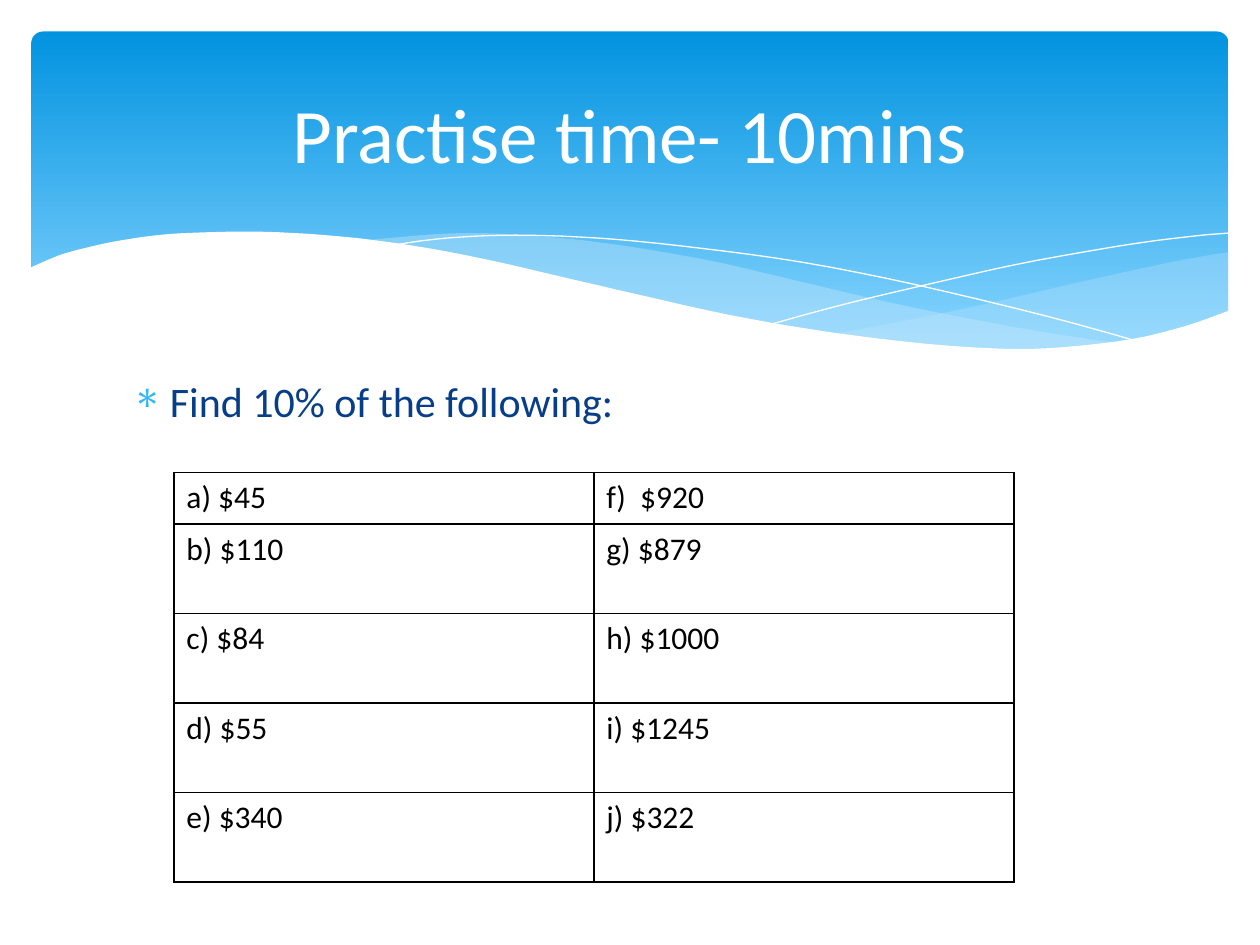
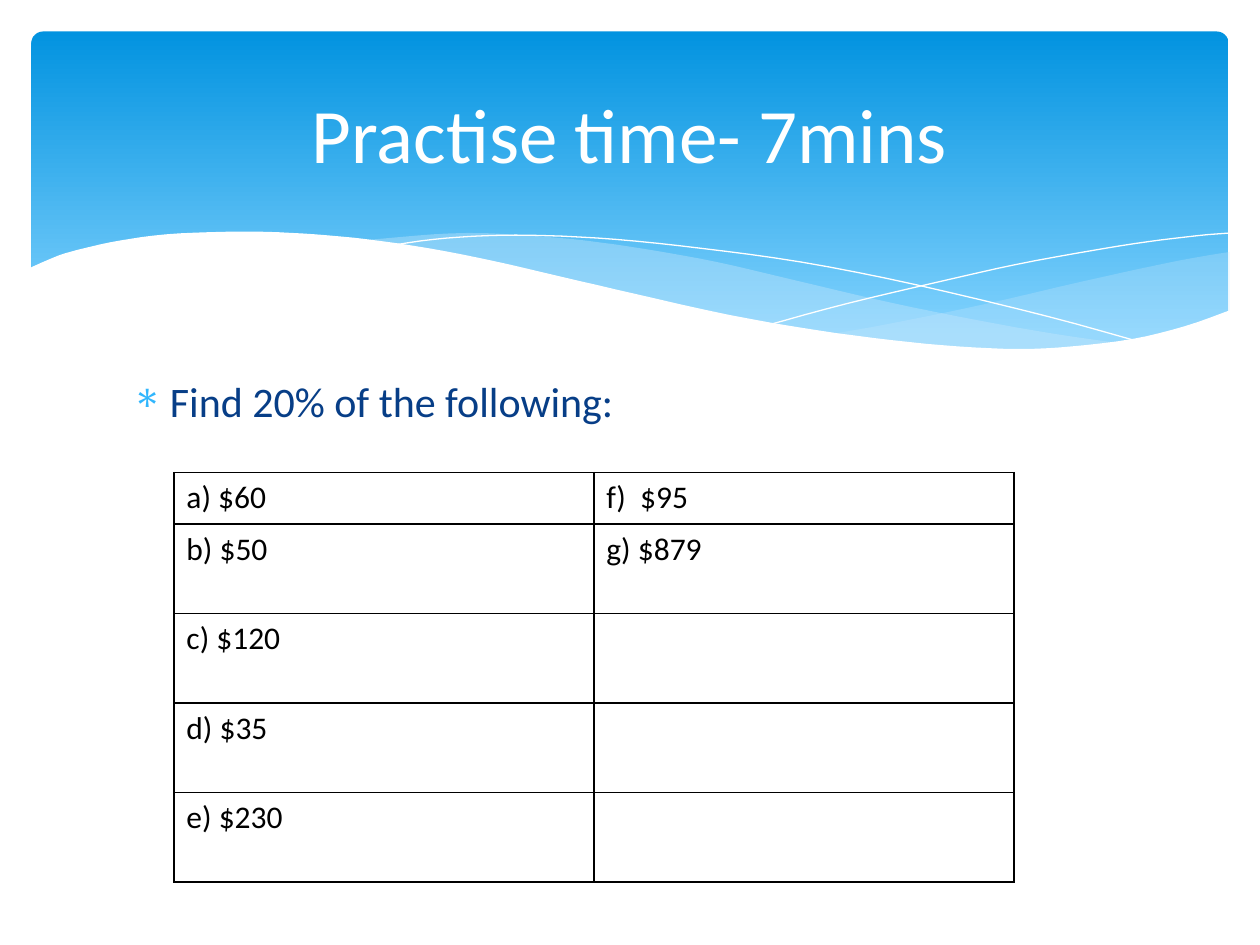
from lxml.etree import SubElement
from pptx import Presentation
from pptx.dml.color import RGBColor
from pptx.enum.shapes import MSO_SHAPE
from pptx.enum.text import MSO_ANCHOR, PP_ALIGN
from pptx.oxml.ns import qn
from pptx.util import Inches, Pt

SLIDES = [
    {"title": "Practise time- 10mins",
     "task": "Find 10% of the following:",
     "columns": [["a) $45", "b) $110", "c) $84", "d) $55", "e) $340"],
                 ["f)  $920", "g) $879", "h) $1000", "i) $1245", "j) $322"]]},
    {"title": "Practise time- 7mins",
     "task": "Find 20% of the following:",
     "columns": [["a) $60", "b) $50", "c) $120", "d) $35", "e) $230"],
                 ["f)  $95", "g) $879", "", "", ""]]},
]

FONT = "Calibri"
WHITE = RGBColor(0xFF, 0xFF, 0xFF)
BLACK = RGBColor(0x00, 0x00, 0x00)
NAVY = RGBColor(0x07, 0x3E, 0x87)
SKY = RGBColor(0x31, 0xB6, 0xFD)
BAND_TOP = RGBColor(0x02, 0x93, 0xE0)
BAND_END = RGBColor(0x83, 0xD3, 0xFE)
PALE = RGBColor(0xC6, 0xE7, 0xFC)

SLIDE_W, SLIDE_H = 10, 7.5
MARGIN = SLIDE_W / 40
TABLE_X, TABLE_Y = 1.38, 3.75
COLUMN_W = SLIDE_W / 3
FIRST_ROW_H, ROW_H = 0.41, 0.71

# Each outline is a chain of smooth curves, in inches; corners fall between curves.
RIGHT_WAVE = [
    [(9.76, 2), (9.35, 2.07), (8.61, 2.23), (7.79, 2.42), (7.06, 2.57), (6.61, 2.65)],
    [(6.61, 2.65), (7.19, 2.72), (7.69, 2.77), (8.14, 2.78), (8.54, 2.76),
     (8.97, 2.7), (9.35, 2.62), (9.76, 2.47)],
]
MIDDLE_WAVE = [
    [(8.93, 2.73), (8.37, 2.65), (7.75, 2.54), (7.06, 2.4), (6.29, 2.22), (5.69, 2.08),
     (5.14, 1.98), (4.65, 1.91), (4.2, 1.87), (3.8, 1.85), (3.44, 1.86), (2.86, 1.91)],
    [(2.86, 1.91), (3.42, 1.99), (4.04, 2.11), (4.49, 2.22), (5.3, 2.4), (6.01, 2.55),
     (6.65, 2.66), (7.22, 2.74), (7.73, 2.77), (8.18, 2.78), (8.57, 2.77), (8.93, 2.73)],
]
FALLING_LINE = [
    [(3.09, 1.95), (3.44, 1.9), (3.87, 1.87), (4.33, 1.87), (4.89, 1.9), (5.56, 1.97),
     (6.36, 2.08), (7.27, 2.26), (8.31, 2.51), (9.07, 2.72)],
]
RISING_LINE = [
    [(6.13, 2.57), (6.72, 2.41), (7.48, 2.23), (8.06, 2.1), (8.66, 1.99),
     (9.1, 1.92), (9.51, 1.87), (9.75, 1.85)],
]
WHITE_WAVE = [
    [(9.77, 2.46), (9.4, 2.59), (8.99, 2.69), (8.5, 2.75), (8.09, 2.77), (7.61, 2.75),
     (7.08, 2.7), (6.48, 2.62), (5.79, 2.5), (5.03, 2.33), (4.47, 2.2), (3.91, 2.07),
     (3.4, 1.97), (2.92, 1.9), (2.5, 1.86), (2.11, 1.84), (1.77, 1.84), (1.32, 1.86),
     (0.95, 1.91), (0.67, 1.97), (0.46, 2.03), (0.23, 2.13)],
    [(0.23, 3.29), (9.77, 3.29)],
]


def smooth(points, steps=4):
    """Return a Catmull-Rom curve through the points as short segments."""
    padded = [points[0], *points, points[-1]]
    curve = [points[0]]
    for a, b, c, d in zip(padded, padded[1:], padded[2:], padded[3:]):
        for t in (i / steps for i in range(1, steps + 1)):
            curve.append(tuple(
                (2 * q + (r - p) * t + (2 * p - 5 * q + 4 * r - s) * t ** 2
                 + (3 * q - p - 3 * r + s) * t ** 3) / 2
                for p, q, r, s in zip(a, b, c, d)))
    return curve


def draw_outline(slide, curves, closed):
    points = [(x * 1000, y * 1000) for c in curves for x, y in smooth(c)]
    builder = slide.shapes.build_freeform(*points[0], scale=Inches(1) / 1000)
    builder.add_line_segments(points[1:], close=closed)
    sp = builder.convert_to_shape()
    sp.shadow.inherit = False
    return sp


def add_wave(slide, curves, color, opacity=100):
    sp = draw_outline(slide, curves, closed=True)
    sp.fill.solid()
    sp.fill.fore_color.rgb = color
    sp.line.fill.background()
    if opacity < 100:
        clr = sp.fill._xPr.find(qn("a:solidFill"))[0]
        SubElement(clr, qn("a:alpha"), val=str(opacity * 1000))


def add_hairline(slide, curves):
    sp = draw_outline(slide, curves, closed=False)
    sp.fill.background()
    sp.line.color.rgb = WHITE
    sp.line.width = Pt(0)


def add_band(slide):
    sp = slide.shapes.add_shape(MSO_SHAPE.ROUNDED_RECTANGLE, Inches(MARGIN), Inches(MARGIN),
                                Inches(SLIDE_W - 2 * MARGIN), Inches(2.7))
    sp.adjustments[0] = 0.034
    sp.shadow.inherit = False
    sp.line.fill.background()
    sp.fill.gradient()
    sp.fill.gradient_angle = 270
    for stop, color, position in zip(sp.fill.gradient_stops, (BAND_TOP, BAND_END), (0, 0.9)):
        stop.color.rgb = color
        stop.position = position
    add_wave(slide, RIGHT_WAVE, PALE, 29)
    add_wave(slide, MIDDLE_WAVE, PALE, 40)
    add_hairline(slide, FALLING_LINE)
    add_hairline(slide, RISING_LINE)
    add_wave(slide, WHITE_WAVE, WHITE)


def style(p, size, color):
    for r in p.runs:
        r.font.name = FONT
        r.font.size = Pt(size)
        r.font.color.rgb = color


def add_text(slide, text, box, size, color):
    tf = slide.shapes.add_textbox(*map(Inches, box)).text_frame
    tf.word_wrap = True
    tf.text = text
    style(tf.paragraphs[0], size, color)
    return tf


def add_title(slide, text):
    tf = add_text(slide, text, (0.5, 0.37, 9, 1.37), 44, WHITE)
    tf.vertical_anchor = MSO_ANCHOR.MIDDLE
    tf.paragraphs[0].alignment = PP_ALIGN.CENTER


def add_task(slide, text):
    tf = add_text(slide, text, (0.95, 2.93, 8.1, 0.7), 24, NAVY)
    pPr = tf.paragraphs[0]._p.get_or_add_pPr()
    pPr.set("marL", str(Inches(0.3)))
    pPr.set("indent", str(-Inches(0.3)))
    SubElement(SubElement(pPr, qn("a:buClr")), qn("a:srgbClr"), val=str(SKY))
    SubElement(pPr, qn("a:buFont"), typeface="Symbol")
    SubElement(pPr, qn("a:buChar"), char="∗")


def add_borders(cell):
    tcPr = cell._tc.get_or_add_tcPr()
    for side in ("lnL", "lnR", "lnT", "lnB"):
        ln = SubElement(tcPr, qn(f"a:{side}"), w=str(Pt(1)))
        fill = SubElement(ln, qn("a:solidFill"))
        SubElement(fill, qn("a:srgbClr"), val=str(BLACK))


def add_questions(slide, columns):
    n_rows, n_cols = len(columns[0]), len(columns)
    heights = [FIRST_ROW_H] + [ROW_H] * (n_rows - 1)
    table = slide.shapes.add_table(
        n_rows, n_cols, Inches(TABLE_X), Inches(TABLE_Y),
        Inches(COLUMN_W * n_cols), Inches(sum(heights))).table
    table.first_row = table.horz_banding = False
    for row, height in zip(table.rows, heights):
        row.height = Inches(height)
    for c, questions in enumerate(columns):
        for r, question in enumerate(questions):
            cell = table.cell(r, c)
            add_borders(cell)
            cell.fill.background()
            if question:
                cell.text_frame.text = question
                style(cell.text_frame.paragraphs[0], 18, BLACK)


def main():
    prs = Presentation()
    prs.slide_width, prs.slide_height = Inches(SLIDE_W), Inches(SLIDE_H)
    for content in SLIDES:
        slide = prs.slides.add_slide(prs.slide_layouts[6])
        add_band(slide)
        add_task(slide, content["task"])
        add_title(slide, content["title"])
        add_questions(slide, content["columns"])
    prs.save("out.pptx")


if __name__ == "__main__":
    main()
